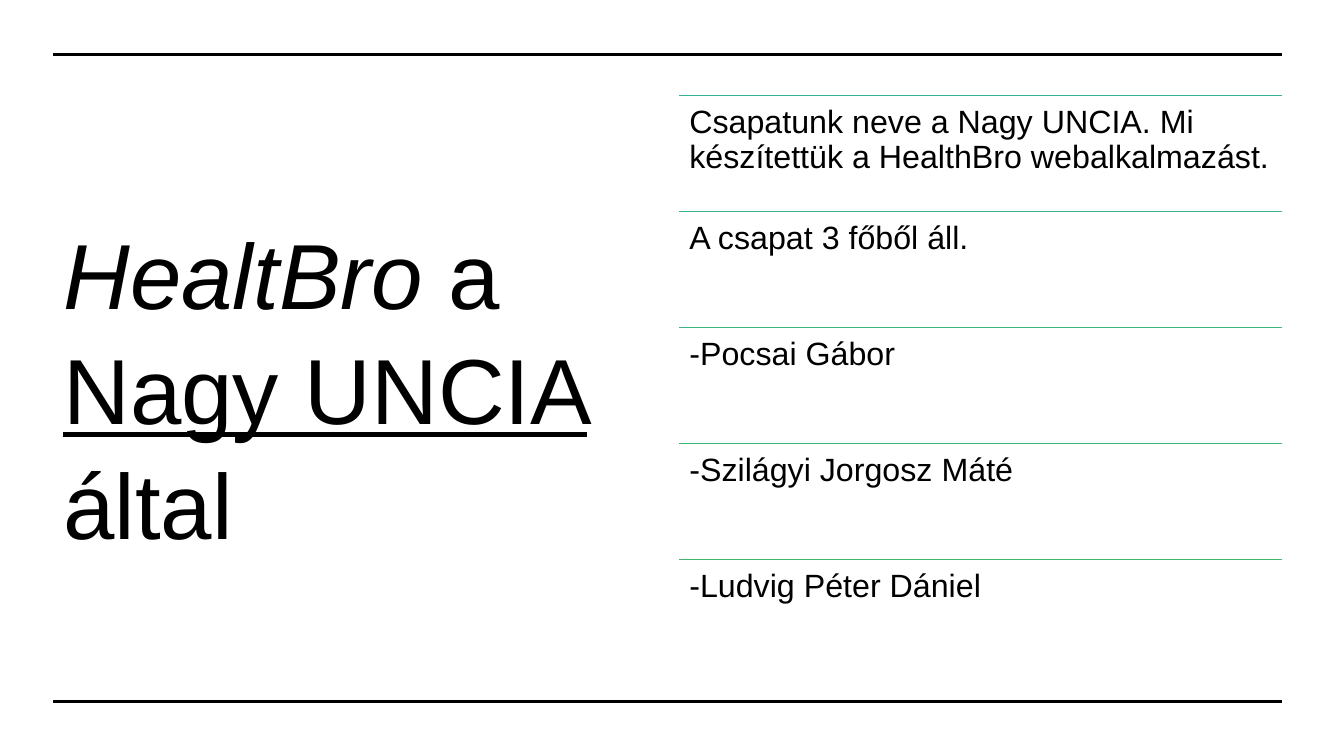
from lxml import etree
from pptx import Presentation
from pptx.dml.color import RGBColor
from pptx.enum import shapes, text
from pptx.oxml import ns
from pptx.util import Pt

BLACK = "000000"
LEFT, RIGHT = 38.16, 915.84
ROWS_LEFT, ROWS_TOP, ROW_HEIGHT = 485.28, 68.4, 82.8
TEAM_ROWS = [
    ("Csapatunk neve a Nagy UNCIA. Mi készítettük a HealthBro webalkalmazást.", "36B396"),
    ("A csapat 3 főből áll.", "39B48B"),
    ("-Pocsai Gábor", "3CB580"),
    ("-Szilágyi Jorgosz Máté", "3FB675"),
    ("-Ludvig Péter Dániel", "42B76B"),
]
TITLE_RUNS = [
    ("HealtBro", True, False),
    (" a ", False, False),
    ("Nagy UNCIA ", False, True),
    ("által", False, False),
]


def set_color(color_format, value):
    color_format.rgb = RGBColor.from_string(value)


def format_font(font, size):
    font.name = "Arial"
    font.size = Pt(size)
    set_color(font.color, BLACK)


def add_rule(slide, left, top, color, width):
    rule = slide.shapes.add_connector(
        shapes.MSO_CONNECTOR.STRAIGHT, Pt(left), Pt(top), Pt(RIGHT), Pt(top))
    set_color(rule.line.color, color)
    rule.line.width = Pt(width)
    etree.SubElement(rule._element.spPr, ns.qn("a:effectLst"))


def format_title(slide):
    title = slide.shapes.title
    title.left, title.top, title.width, title.height = Pt(LEFT), Pt(68.4), Pt(442), Pt(414)
    frame = title.text_frame
    frame.word_wrap = True
    frame.auto_size = text.MSO_AUTO_SIZE.NONE
    frame.vertical_anchor = text.MSO_ANCHOR.MIDDLE
    paragraph = frame.paragraphs[0]
    paragraph.alignment = text.PP_ALIGN.LEFT
    paragraph.line_spacing = 1.04
    for content, italic, underline in TITLE_RUNS:
        run = paragraph.add_run()
        run.text = content
        format_font(run.font, 66)
        run.font.italic = italic
        run.font.underline = underline


def add_row_text(slide, top, content):
    box = slide.shapes.add_textbox(
        Pt(ROWS_LEFT), Pt(top), Pt(RIGHT - ROWS_LEFT), Pt(ROW_HEIGHT))
    frame = box.text_frame
    frame.word_wrap = True
    frame.margin_left = frame.margin_right = Pt(7.2)
    frame.margin_top = frame.margin_bottom = Pt(7.2)
    frame.text = content
    paragraph = frame.paragraphs[0]
    paragraph.line_spacing = 0.9
    format_font(paragraph.runs[0].font, 23)


def main():
    presentation = Presentation()
    presentation.slide_width, presentation.slide_height = Pt(960), Pt(540)
    slide = presentation.slides.add_slide(presentation.slide_layouts[5])
    format_title(slide)
    for top in (38.88, 501.12):
        add_rule(slide, LEFT, top, BLACK, 2.25)
    for index, (content, color) in enumerate(TEAM_ROWS):
        top = ROWS_TOP + index * ROW_HEIGHT
        add_rule(slide, ROWS_LEFT, top, color, 1)
        add_row_text(slide, top, content)
    presentation.save("out.pptx")


if __name__ == "__main__":
    main()
